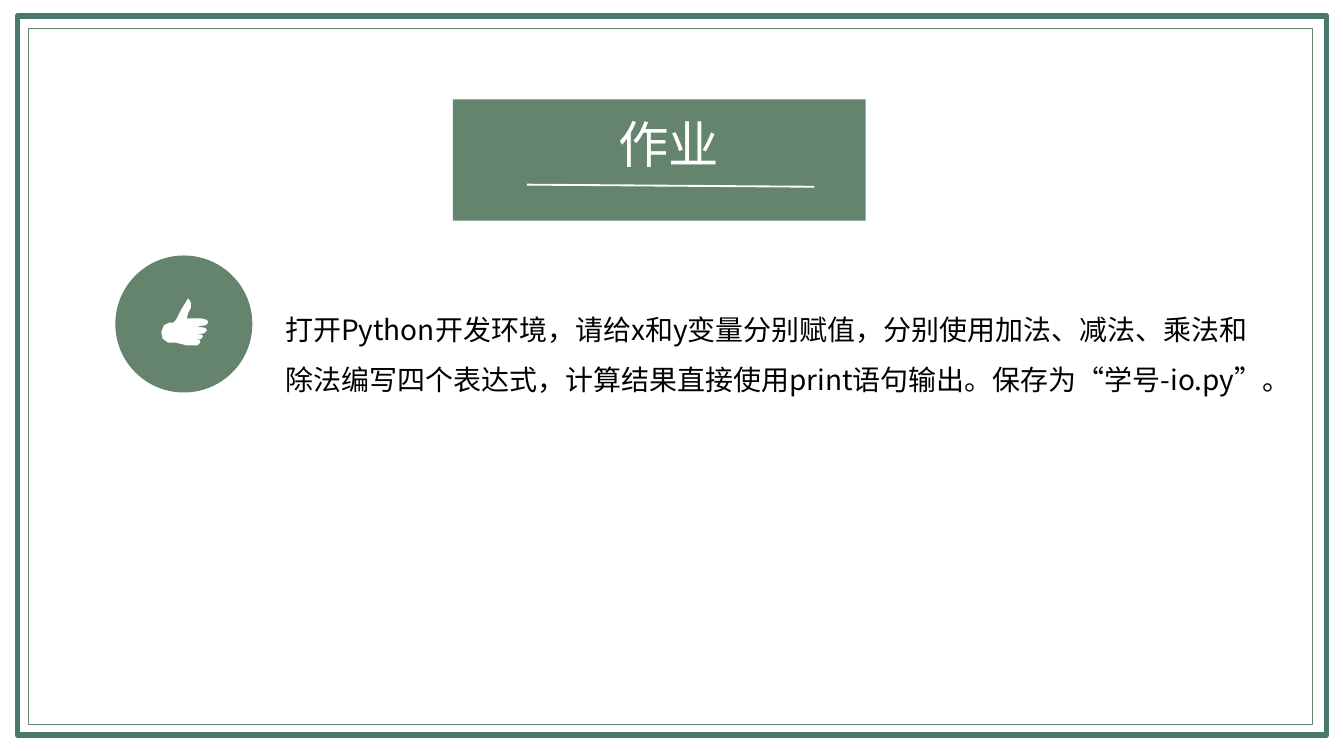
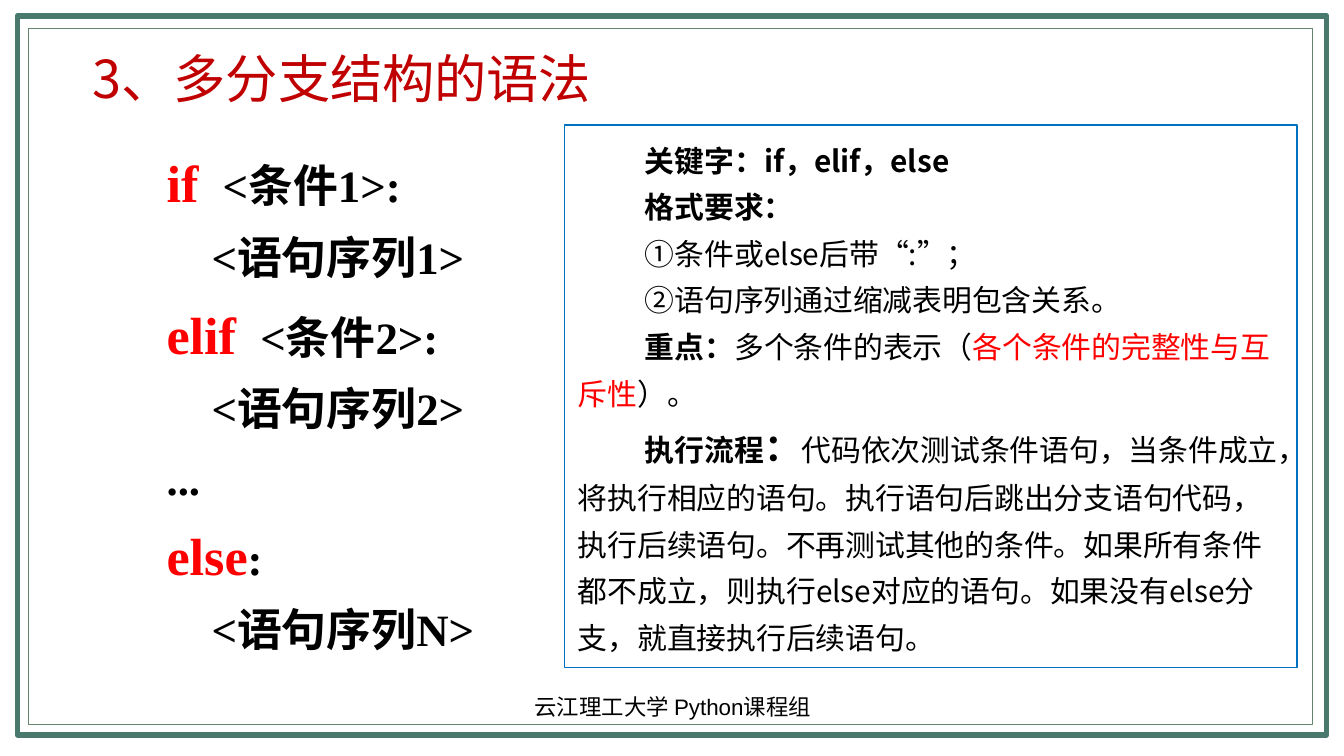
from lxml.etree import SubElement
from pptx import Presentation
from pptx.dml.color import RGBColor
from pptx.enum.shapes import MSO_CONNECTOR as Connector, MSO_SHAPE as Shape
from pptx.enum.text import MSO_ANCHOR as Anchor, MSO_AUTO_SIZE as AutoSize, PP_ALIGN as Align
from pptx.oxml.ns import qn
from pptx.util import Cm, Pt

GREEN, FRAME_GREEN, BLUE = "64846E", "49786D", "0070C0"
RED, DARK_RED, BLACK, WHITE = "FF0000", "C00000", "000000", "FFFFFF"
SANS, SERIF, FOOTER_FONT = "Noto Sans CJK SC", "Times New Roman", "Arial"

# Outline in hundredths of an inch on the page
THUMB = [(146, 249), (152, 248), (154, 246), (153, 244), (146, 243), (153, 242),
         (155, 240), (154, 238), (150, 237), (139, 237), (140, 233), (142, 229),
         (142, 225), (140, 222), (135, 230), (131, 238), (129, 240), (126, 240),
         (122, 242), (120, 247), (121, 252), (125, 255), (131, 255), (139, 257),
         (147, 257), (149, 255), (149, 253), (145, 253), (150, 252), (151, 250),
         (150, 249)]


def colour(hex_text):
    return RGBColor.from_string(hex_text)


class Lesson:
    """Holds the deck, its shared style and the page being filled."""

    def __init__(self):
        self.deck = Presentation()
        self.deck.slide_width, self.deck.slide_height = Cm(25.4), Cm(14.29)
        self.page = None

    def new_page(self):
        self.page = self.deck.slides.add_slide(self.deck.slide_layouts[6])
        self.box(0.33, 0.3, 24.74, 13.59, line=FRAME_GREEN, weight=3)
        self.box(0.53, 0.53, 24.28, 13.16, line=GREEN, weight=0.5)

    def paint(self, shape, fill=None, line=None, weight=1):
        shape.shadow.inherit = False
        if fill:
            shape.fill.solid()
            shape.fill.fore_color.rgb = colour(fill)
        else:
            shape.fill.background()
        if line:
            shape.line.color.rgb = colour(line)
            shape.line.width = Pt(weight)
        else:
            shape.line.fill.background()
        return shape

    def box(self, left, top, width, height, kind=Shape.RECTANGLE, **style):
        shape = self.page.shapes.add_shape(kind, Cm(left), Cm(top), Cm(width), Cm(height))
        return self.paint(shape, **style)

    def outline(self, points, **style):
        builder = self.page.shapes.build_freeform(*points[0], scale=Cm(0.0254))
        builder.add_line_segments(points[1:], close=True)
        return self.paint(builder.convert_to_shape(), **style)

    def line(self, start, end, line, weight=1):
        link = self.page.shapes.add_connector(
            Connector.STRAIGHT, *(Cm(value) for value in start + end))
        link.line.color.rgb = colour(line)
        link.line.width = Pt(weight)
        SubElement(link._element.spPr, qn("a:effectLst"))
        return link

    def text(self, left, top, width, height, paras, **style):
        box = self.page.shapes.add_textbox(Cm(left), Cm(top), Cm(width), Cm(height))
        self.fill_text(box, paras, **style)
        return box

    def fill_text(self, box, paras, font=SANS, size=16, align=Align.LEFT, spacing=1.0,
                  anchor=Anchor.TOP, grow=True, first_indent=0, margins=(0.25, 0.13)):
        """Each para is (left indent, spans); a span is (text, changes to the defaults)."""
        frame = box.text_frame
        frame.word_wrap = True
        frame.auto_size = AutoSize.SHAPE_TO_FIT_TEXT if grow else AutoSize.NONE
        frame.vertical_anchor = anchor
        frame.margin_left = frame.margin_right = Cm(margins[0])
        frame.margin_top = frame.margin_bottom = Cm(margins[1])
        for index, (indent, spans) in enumerate(paras):
            para = frame.paragraphs[0] if index == 0 else frame.add_paragraph()
            para.alignment, para.line_spacing = align, spacing
            properties = para._p.get_or_add_pPr()
            properties.set("marL", str(Cm(indent)))
            properties.set("indent", str(Cm(first_indent)))
            for words, changes in spans:
                self.span(para, words, **{"font": font, "size": size, **changes})

    def span(self, para, words, font, size, color=BLACK, bold=False):
        span = para.add_run()
        span.text = words
        span.font.size, span.font.bold = Pt(size), bold
        span.font.color.rgb = colour(color)
        span.font.name = font
        SubElement(span._r.get_or_add_rPr(), qn("a:ea"), typeface=SANS)


def homework(lesson):
    lesson.new_page()
    lesson.box(2.18, 4.83, 2.59, 2.59, Shape.OVAL, fill=GREEN)
    lesson.outline(THUMB, fill=WHITE)
    banner = lesson.box(8.56, 1.88, 7.8, 2.29, fill=GREEN)
    title = lesson.text(9.55, 2.01, 6.17, 1.42, [(0, [("作业", {"color": WHITE})])],
                        size=27, align=Align.CENTER)
    underline = lesson.line((9.96, 3.49), (15.39, 3.53), WHITE)
    lesson.page.shapes.add_group_shape([banner, title, underline])
    task = ("打开Python开发环境，请给x和y变量分别赋值，分别使用加法、减法、乘法和除法编写四个表达式，"
            "计算结果直接使用print语句输出。保存为“学号-io.py”。")
    lesson.text(5.21, 5, 18.9, 3.07, [(0, [(task, {})])], size=15, spacing=1.5,
                anchor=Anchor.MIDDLE, margins=(0.18, 0.1))


def branch_syntax(lesson):
    lesson.new_page()
    keyword = {"size": 28, "color": RED, "bold": True}
    bold = {"bold": True}

    def statements(number):
        return 0.85, [(f"<语句序列{number}>", bold)]

    code = [
        (0, [("if ", keyword), (" <条件1>:", bold)]),
        statements(1),
        (0, [("elif ", keyword), (" <条件2>:", bold)]),
        statements(2),
        (0, [("...", bold)]),
        (0, [("else", keyword), (":", bold)]),
        statements("N"),
    ]
    lesson.text(2.9, 2.36, 8.61, 10.26, code, font=SERIF, size=24, spacing=1.3)
    lesson.text(1.5, 0.74, 11.4, 1.45,
                [(0, [("3、多分支结构的语法", {"color": DARK_RED})])], size=28)

    flow = ("代码依次测试条件语句，当条件成立，将执行相应的语句。执行语句后跳出分支语句代码，执行后续语句。"
            "不再测试其他的条件。如果所有条件都不成立，则执行else对应的语句。如果没有else分支，就直接执行后续语句。")
    rules = [
        [("关键字：if，elif，else", bold)],
        [("格式要求：", bold)],
        [("①条件或else后带“:”；", {})],
        [("②语句序列通过缩减表明包含关系。", {})],
        [("重点：", bold), ("多个条件的表示（", {}),
         ("各个条件的完整性与互斥性", {"color": RED}), ("）。", {})],
        [("执行流程", bold), ("：", {"size": 20, "bold": True}), (flow, {})],
    ]
    panel = lesson.box(10.67, 2.36, 13.84, 10.26, line=BLUE)
    lesson.fill_text(panel, [(0, spans) for spans in rules], spacing=1.3, first_indent=1.27)
    lesson.text(8.69, 12.98, 8.05, 0.76, [(0, [("云江理工大学 Python课程组", {})])],
                font=FOOTER_FONT, size=12, align=Align.CENTER, anchor=Anchor.MIDDLE, grow=False)


def main():
    lesson = Lesson()
    homework(lesson)
    branch_syntax(lesson)
    lesson.deck.save("out.pptx")


if __name__ == "__main__":
    main()
